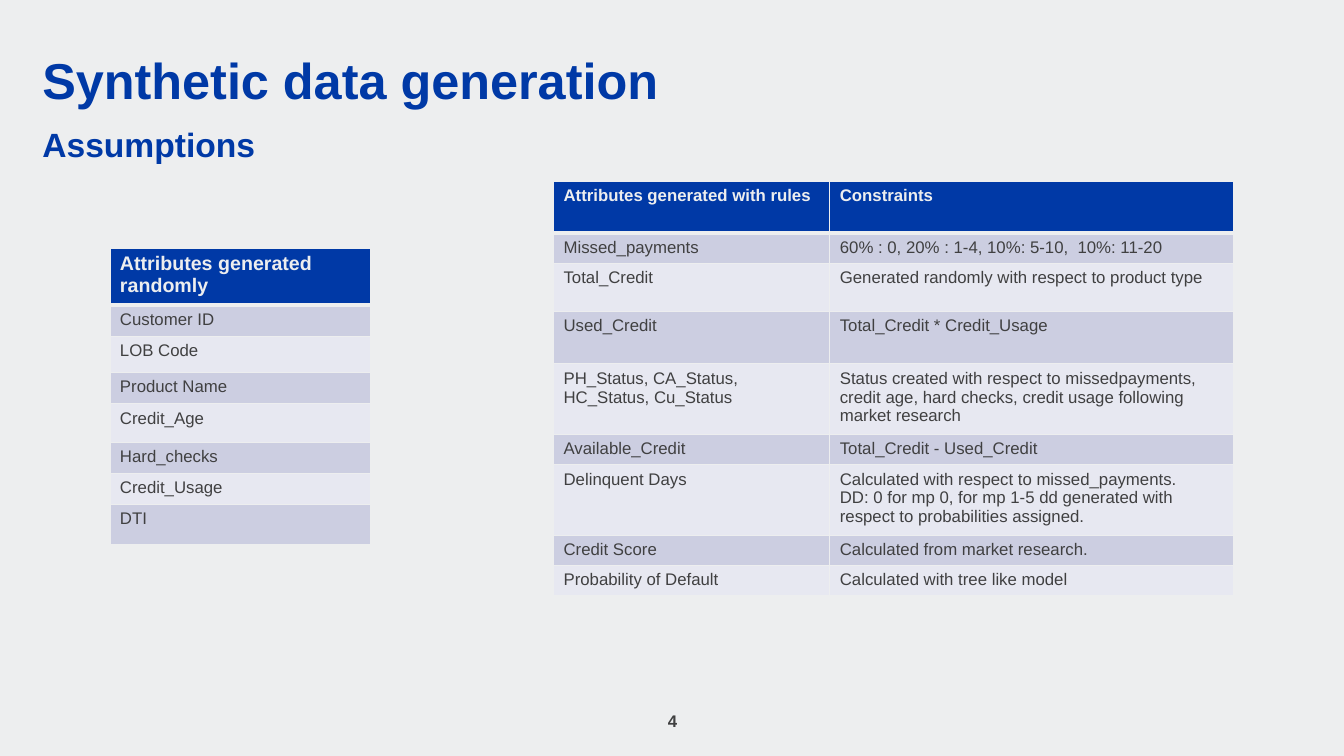
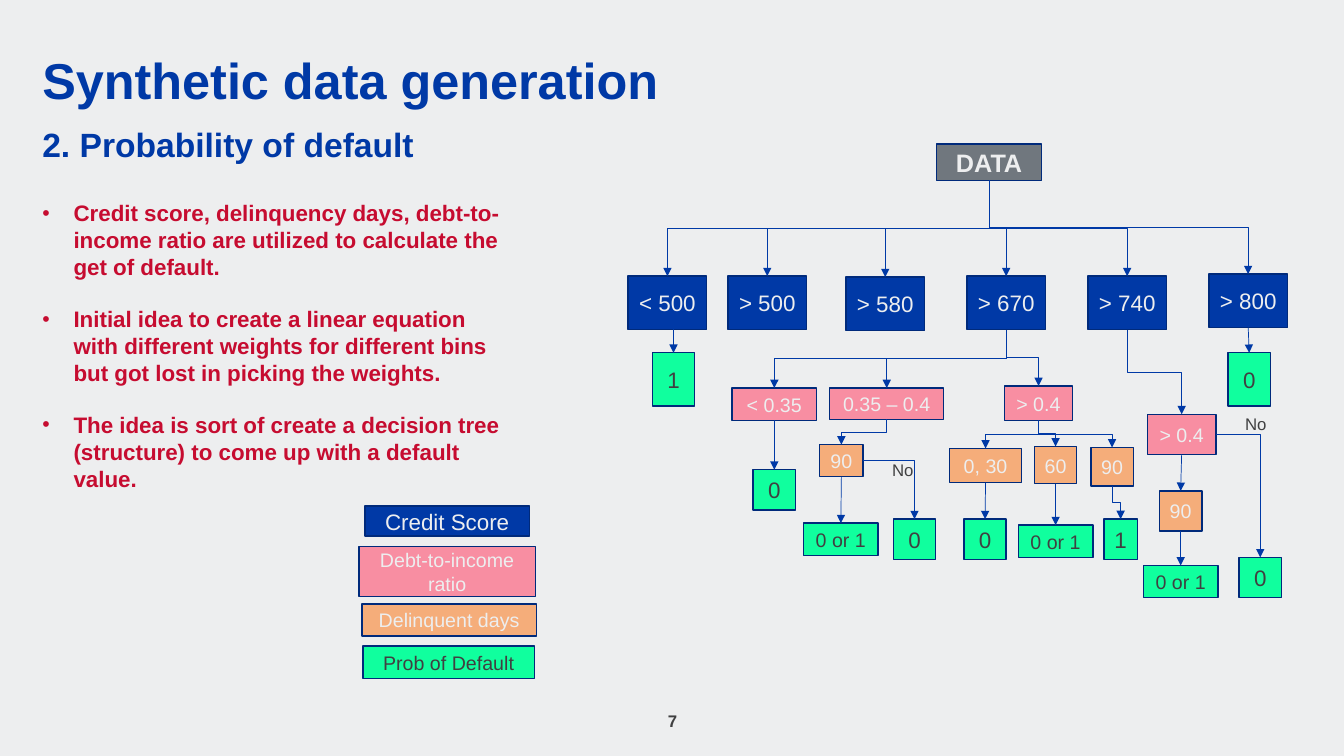
"""Build two slides on synthetic data generation: attribute tables and a default decision tree."""

from lxml.etree import SubElement
from pptx import Presentation
from pptx.dml.color import RGBColor
from pptx.enum.shapes import MSO_CONNECTOR as Connector, MSO_SHAPE as Preset
from pptx.enum.text import MSO_ANCHOR as Anchor, PP_ALIGN as Align
from pptx.oxml.ns import qn
from pptx.util import Inches, Pt

BLUE = RGBColor(0x00, 0x39, 0xA6)
NAVY = RGBColor(0x00, 0x2A, 0x7B)
LIGHT = RGBColor(0xED, 0xEE, 0xEF)
DARK = RGBColor(0x40, 0x40, 0x41)
GREY = RGBColor(0x70, 0x77, 0x7E)
RED = RGBColor(0xC6, 0x0C, 0x30)
PINK = RGBColor(0xF8, 0x8E, 0xA2)
ORANGE = RGBColor(0xF5, 0xAD, 0x7A)
GREEN = RGBColor(0x10, 0xFF, 0x9E)
BAND_DARK = RGBColor(0xCC, 0xCE, 0xE1)
BAND_LIGHT = RGBColor(0xE7, 0xE8, 0xF1)
FONT = "Arial"


def write(frame, text, size, color, bold=False, align=Align.LEFT):
    """Fill a text frame with one paragraph per line of text."""
    frame.word_wrap = True
    for index, line in enumerate(text.split("\n")):
        paragraph = frame.add_paragraph() if index else frame.paragraphs[0]
        paragraph.alignment = align
        run = paragraph.add_run()
        run.text = line
        run.font.name = FONT
        run.font.size = Pt(size)
        run.font.bold = bold
        run.font.color.rgb = color


def add_box(slide, left, top, width, height, anchor=Anchor.TOP, margin=0.0):
    """Add a text box with equal side margins and return its text frame."""
    box = slide.shapes.add_textbox(Inches(left), Inches(top), Inches(width), Inches(height))
    frame = box.text_frame
    frame.margin_left = frame.margin_right = Inches(margin)
    frame.margin_top = frame.margin_bottom = Inches(margin / 2)
    frame.vertical_anchor = anchor
    return frame


presentation = Presentation()
presentation.slide_width = Inches(13.33)
presentation.slide_height = Inches(7.5)

for subtitle, number in (("Assumptions", "4"), ("2. Probability of default", "7")):
    slide = presentation.slides.add_slide(presentation.slide_layouts[6])
    slide.background.fill.solid()
    slide.background.fill.fore_color.rgb = LIGHT
    for text, top, height, size in (
        ("Synthetic data generation", 0.55, 0.55, 36),
        (subtitle, 1.27, 0.36, 24),
    ):
        frame = add_box(slide, 0.42, top, 12.5, height, Anchor.BOTTOM)
        write(frame, text, size, BLUE, True)
        frame.paragraphs[0].line_spacing = 0.9
    frame = add_box(slide, 5.17, 6.95, 3, 0.4, Anchor.MIDDLE, 0.1)
    write(frame, number, 12, DARK, True, Align.CENTER)

table_slide, tree_slide = presentation.slides

random_rows = [
    ("Attributes generated randomly",),
    ("Customer ID",),
    ("LOB Code",),
    ("Product Name",),
    ("Credit_Age",),
    ("Hard_checks",),
    ("Credit_Usage",),
    ("DTI",),
]
rule_rows = [
    ("Attributes generated with rules", "Constraints"),
    ("Missed_payments", "60% : 0, 20% : 1-4, 10%: 5-10,  10%: 11-20"),
    ("Total_Credit", "Generated randomly with respect to product type"),
    ("Used_Credit", "Total_Credit * Credit_Usage"),
    (
        "PH_Status, CA_Status, HC_Status, Cu_Status",
        "Status created with respect to missedpayments, credit age, hard checks, "
        "credit usage following market research",
    ),
    ("Available_Credit", "Total_Credit - Used_Credit"),
    (
        "Delinquent Days",
        "Calculated with respect to missed_payments.\n"
        "DD: 0 for mp 0, for mp 1-5 dd generated with respect to probabilities assigned.",
    ),
    ("Credit Score", "Calculated from market research."),
    ("Probability of Default", "Calculated with tree like model"),
]
tables = [
    (1.09, 2.46, [2.59], [0.52, 0.31, 0.36, 0.31, 0.38, 0.31, 0.31, 0.4], 14, random_rows),
    (5.49, 1.8, [2.74, 4.01], [0.51, 0.29, 0.48, 0.52, 0.7, 0.29, 0.7, 0.29, 0.29], 12, rule_rows),
]
for left, top, widths, heights, header_size, rows in tables:
    table = table_slide.shapes.add_table(
        len(rows), len(widths), Inches(left), Inches(top),
        Inches(sum(widths)), Inches(sum(heights)),
    ).table
    for column, width in zip(table.columns, widths):
        column.width = Inches(width)
    for row_index, (row, height, texts) in enumerate(zip(table.rows, heights, rows)):
        row.height = Inches(height)
        header = row_index == 0
        band = BAND_DARK if row_index % 2 else BAND_LIGHT
        for cell, text in zip(row.cells, texts):
            properties = cell._tc.get_or_add_tcPr()
            for side in "LRTB":
                thick = (row_index, side) in ((0, "B"), (1, "T"))
                border = SubElement(properties, qn(f"a:ln{side}"), w=str(Pt(3 if thick else 1)))
                fill = SubElement(border, qn("a:solidFill"))
                SubElement(fill, qn("a:srgbClr"), val=str(LIGHT))
            cell.fill.solid()
            cell.fill.fore_color.rgb = BLUE if header else band
            write(cell.text_frame, text, header_size if header else 12,
                  LIGHT if header else DARK, header)

frame = add_box(tree_slide, 0.42, 1.98, 4.66, 2.94)
write(
    frame,
    "Credit score, delinquency days, debt-to-income ratio are utilized to calculate the "
    "get of default.\n"
    "Initial idea to create a linear equation with different weights for different bins "
    "but got lost in picking the weights.\n"
    "The idea is sort of create a decision tree (structure) to come up with a default value.",
    16, RED, True,
)
for index, paragraph in enumerate(frame.paragraphs):
    properties = paragraph._p.get_or_add_pPr()
    properties.set("marL", str(Inches(0.31)))
    properties.set("indent", str(-Inches(0.31)))
    SubElement(properties, qn("a:buSzPct"), val="95000")
    SubElement(properties, qn("a:buFont"), typeface=FONT)
    SubElement(properties, qn("a:buChar"), char="•")
    if index:
        paragraph.space_before = Pt(18)

ROOT = (GREY, LIGHT, 18)
SCORE = (BLUE, LIGHT, 16)
RATIO = (PINK, LIGHT, 14)
DAYS = (ORANGE, LIGHT, 14)
RESULT = (GREEN, DARK, 16)
EITHER = (GREEN, DARK, 14)

nodes = [
    ("data", "DATA", ROOT, 9.29, 1.43, 1.04, 0.36),
    ("below 500", "< 500", SCORE, 6.23, 2.74, 0.78, 0.53),
    ("above 500", "> 500", SCORE, 7.22, 2.74, 0.78, 0.53),
    ("above 580", "> 580", SCORE, 8.39, 2.75, 0.78, 0.53),
    ("above 670", "> 670", SCORE, 9.59, 2.74, 0.78, 0.53),
    ("above 740", "> 740", SCORE, 10.79, 2.74, 0.78, 0.53),
    ("above 800", "> 800", SCORE, 11.99, 2.72, 0.78, 0.53),
    ("below 500 result", "1", RESULT, 6.47, 3.5, 0.42, 0.53),
    ("above 800 result", "0", RESULT, 12.18, 3.5, 0.42, 0.53),
    ("low ratio", "< 0.35", RATIO, 7.26, 3.85, 0.84, 0.32),
    ("middle ratio", "0.35 – 0.4", RATIO, 8.23, 3.85, 1.13, 0.31),
    ("high ratio", "> 0.4", RATIO, 9.96, 3.83, 0.68, 0.34),
    ("740 ratio", "> 0.4", RATIO, 11.38, 4.11, 0.68, 0.4),
    ("low result", "0", RESULT, 7.47, 4.66, 0.42, 0.4),
    ("middle days", "90", DAYS, 8.13, 4.41, 0.43, 0.32),
    ("middle either", "0 or 1", EITHER, 7.97, 5.19, 0.74, 0.32),
    ("middle result", "0", RESULT, 8.86, 5.15, 0.42, 0.4),
    ("high 30", "0, 30", DAYS, 9.42, 4.45, 0.71, 0.34),
    ("high 60", "60", DAYS, 10.26, 4.43, 0.42, 0.37),
    ("high 90", "90", DAYS, 10.82, 4.44, 0.42, 0.38),
    ("high 30 result", "0", RESULT, 9.56, 5.15, 0.42, 0.4),
    ("high 60 either", "0 or 1", EITHER, 10.1, 5.21, 0.74, 0.32),
    ("high 90 result", "1", RESULT, 10.95, 5.15, 0.33, 0.4),
    ("740 days", "90", DAYS, 11.5, 4.87, 0.42, 0.4),
    ("740 either", "0 or 1", EITHER, 11.34, 5.61, 0.74, 0.32),
    ("740 result", "0", RESULT, 12.29, 5.53, 0.42, 0.4),
    ("score legend", "Credit Score", SCORE, 3.62, 5.02, 1.63, 0.3),
    ("ratio legend", "Debt-to-income ratio", RATIO, 3.56, 5.42, 1.75, 0.5),
    ("days legend", "Delinquent days", DAYS, 3.59, 5.99, 1.73, 0.32),
    ("default legend", "Prob of Default", EITHER, 3.6, 6.41, 1.7, 0.32),
]
shapes = {}
for name, text, (fill, color, size), left, top, width, height in nodes:
    shape = tree_slide.shapes.add_shape(
        Preset.RECTANGLE, Inches(left), Inches(top), Inches(width), Inches(height))
    shape.shadow.inherit = False
    shape.fill.solid()
    shape.fill.fore_color.rgb = fill
    shape.line.color.rgb = NAVY
    shape.line.width = Pt(1)
    frame = shape.text_frame
    frame.margin_left = frame.margin_right = Inches(0.05)
    frame.margin_top = frame.margin_bottom = 0
    frame.vertical_anchor = Anchor.MIDDLE
    write(frame, text, size, color, name == "data", Align.CENTER)
    shapes[name] = shape

BOTTOM, RIGHT, TOP = 2, 3, 0
branches = {
    "data": ["below 500", "above 500", "above 580", "above 670", "above 740", "above 800"],
    "above 670": ["low ratio", "middle ratio", "high ratio"],
    "above 740": ["740 ratio"],
    "above 800": ["above 800 result"],
    "low ratio": ["low result"],
    "middle ratio": ["middle days"],
    "middle days": ["middle either"],
    "high ratio": ["high 30", "high 60", "high 90"],
    "high 30": ["high 30 result"],
    "high 60": ["high 60 either"],
    "high 90": ["high 90 result"],
    "740 ratio": ["740 days"],
    "740 days": ["740 either"],
}
links = [(parent, child, BOTTOM) for parent, children in branches.items() for child in children]
links += [("middle days", "middle result", RIGHT), ("740 ratio", "740 result", RIGHT)]
links.append((None, "below 500 result", BOTTOM))

for parent, child, site in links:
    target = shapes[child]
    target_x = target.left + target.width // 2
    source = shapes.get(parent)
    source_x = source.left + source.width // 2 if source else target_x
    straight = abs(target_x - source_x) < Inches(0.05)
    connector = tree_slide.shapes.add_connector(
        Connector.STRAIGHT if straight else Connector.ELBOW,
        target_x, Inches(3.22), target_x, target.top)
    if source:
        connector.begin_connect(source, site)
    connector.end_connect(target, TOP)
    properties = connector._element.spPr
    if site == RIGHT:
        properties.find(qn("a:prstGeom")).set("prst", "bentConnector2")
    elif not straight:
        start_x, start_y = connector.begin_x, connector.begin_y
        across, down = connector.end_x - start_x, connector.end_y - start_y
        connector.width, connector.height = down, abs(across)
        connector.left = start_x + (across - down) // 2
        connector.top = start_y + (down - abs(across)) // 2
        transform = properties.find(qn("a:xfrm"))
        transform.set("rot", "16200000" if across > 0 else "5400000")
        transform.set("flipH", "1" if across > 0 else "0")
    connector.line.color.rgb = BLUE
    connector.line.width = Pt(0.5)
    SubElement(properties.find(qn("a:ln")), qn("a:tailEnd"), type="triangle")
    SubElement(properties, qn("a:effectLst"))

for left, top in ((8.75, 4.51), (12.25, 4.06)):
    frame = add_box(tree_slide, left, top, 0.42, 0.3, margin=0.1)
    frame.margin_right = 0
    write(frame, "No", 12, DARK)

presentation.save("out.pptx")
